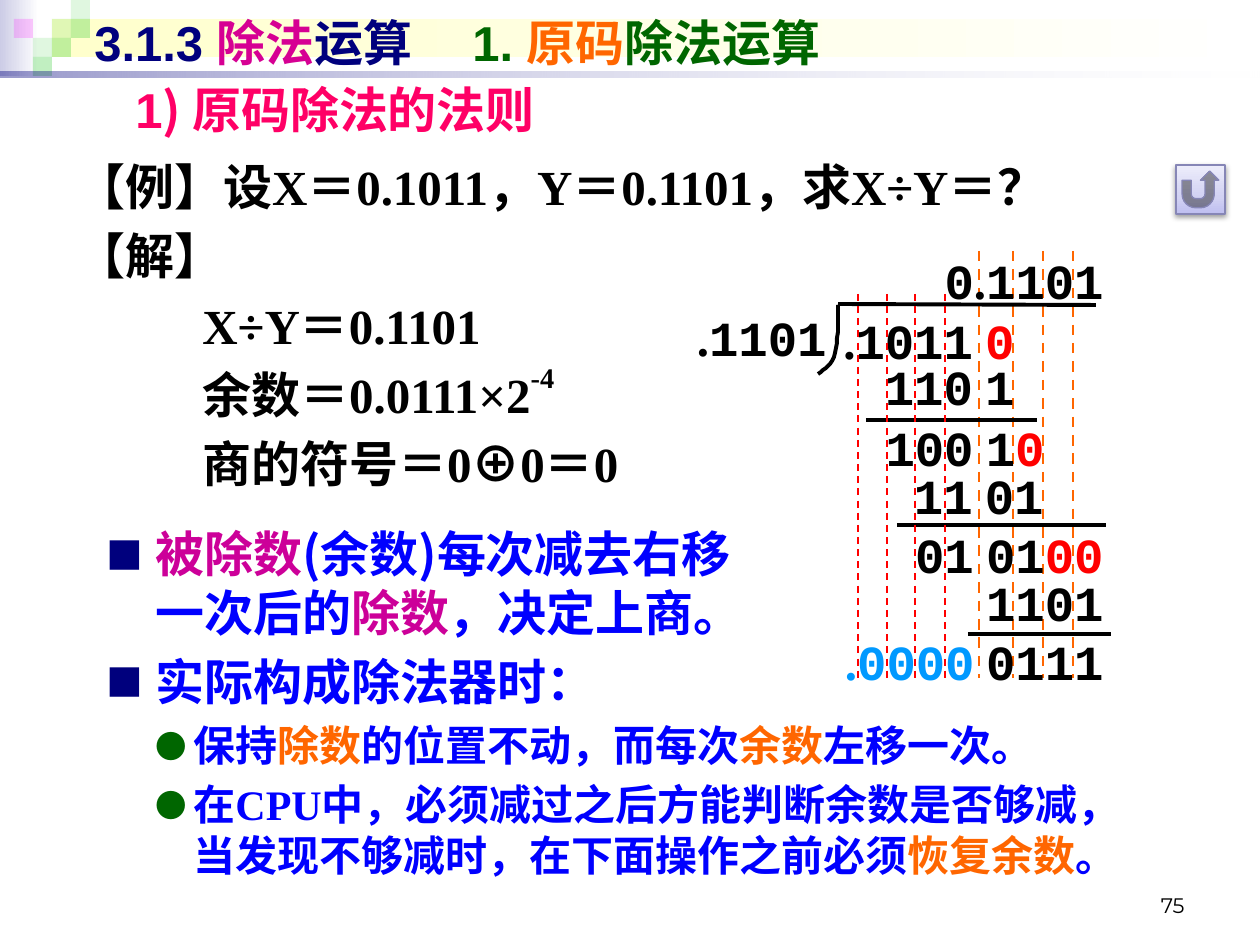
from lxml import etree
from pptx import Presentation, util as u
from pptx.dml.color import RGBColor
from pptx.enum import dml, shapes, text
from pptx.oxml import parse_xml
from pptx.oxml.ns import qn

PX = 914400 / 126
NS = 'xmlns:a="http://schemas.openxmlformats.org/drawingml/2006/main"'
RECT = shapes.MSO_SHAPE.RECTANGLE
LEFT, RIGHT = text.PP_ALIGN.LEFT, text.PP_ALIGN.RIGHT
TOP, MIDDLE, BOTTOM = text.MSO_ANCHOR.TOP, text.MSO_ANCHOR.MIDDLE, text.MSO_ANCHOR.BOTTOM
TIMES, COURIER, ARIAL, NOTO = "Times New Roman", "Courier New", "Arial", "Noto Sans CJK SC"
BLACK, NAVY, BLUE, RED = "000000", "00007D", "0000FF", "FF0000"
ORANGE, GREEN, MAGENTA, ROSE = "FF6600", "006600", "CC0099", "FF0066"


def px(n):
    return u.Emu(round(n * PX))


def rgb(h):
    return RGBColor.from_string(h)


def add_run(p, words, font=TIMES, size=28, color=BLACK, bold=True, base=0):
    for i, line in enumerate(words.split("\n")):
        if i:
            p.add_line_break()
        r = p.add_run()
        r.text = line
        r.font.name, r.font.size, r.font.bold = font, u.Pt(size), bold
        r.font.color.rgb = rgb(color)
        rpr = r.font._element
        etree.SubElement(rpr, qn("a:ea")).set("typeface", NOTO)
        if base:
            rpr.set("baseline", str(base * 1000))


def bezier(a, b, c, d, steps=8):
    for i in range(1, steps + 1):
        t = i / steps
        yield tuple((1 - t) ** 3 * k + 3 * t * (1 - t) ** 2 * m + 3 * t * t * (1 - t) * n + t ** 3 * o
                    for k, m, n, o in zip(a, b, c, d))


class Deck:
    def __init__(self):
        self.prs = Presentation()
        self.prs.slide_width, self.prs.slide_height = px(1260), px(945)
        self.s = self.prs.slides.add_slide(self.prs.slide_layouts[6])

    def shape(self, x, y, w, h, kind=RECT, fill=None, alpha=100):
        sp = self.s.shapes.add_shape(kind, px(x), px(y), px(w), px(h))
        sp.shadow.inherit = False
        sp.line.fill.background()
        if fill:
            sp.fill.solid()
            sp.fill.fore_color.rgb = rgb(fill)
            clr = sp._element.spPr.find(".//" + qn("a:srgbClr"))
            etree.SubElement(clr, qn("a:alpha")).set("val", str(alpha * 1000))
        return sp

    def gradient(self, sp, stops, angle=0):
        gs = "".join(f'<a:gs pos="{pos * 1000}"><a:srgbClr val="{c}"><a:alpha val="{a * 1000}"/>'
                     "</a:srgbClr></a:gs>" for pos, c, a in stops)
        geom = sp._element.spPr.find(qn("a:prstGeom"))
        geom.addnext(parse_xml(f'<a:gradFill {NS} rotWithShape="1"><a:gsLst>{gs}</a:gsLst>'
                               f'<a:lin ang="{angle * 60000}" scaled="0"/></a:gradFill>'))

    def shadow(self, sp, color, alpha, blur, dist, angle):
        fx = sp._element.spPr.find(qn("a:effectLst"))
        fx.append(parse_xml(
            f'<a:outerShdw {NS} blurRad="{u.Pt(blur)}" dist="{u.Pt(dist)}" dir="{angle * 60000}" '
            f'rotWithShape="0"><a:srgbClr val="{color}"><a:alpha val="{alpha * 1000}"/>'
            "</a:srgbClr></a:outerShdw>"))

    def line(self, x1, y1, x2, y2, color=BLACK, width=2.25, dash=False):
        c = self.s.shapes.add_connector(shapes.MSO_CONNECTOR.STRAIGHT, px(x1), px(y1), px(x2), px(y2))
        c.line.color.rgb, c.line.width = rgb(color), u.Pt(width)
        if dash:
            c.line.dash_style = dml.MSO_LINE.DASH
        etree.SubElement(c._element.spPr, qn("a:effectLst"))

    def curve(self, start, *segments):
        pts, at = [], start
        for b, c, d in segments:
            pts += bezier(at, b, c, d)
            at = d
        fb = self.s.shapes.build_freeform(*start, scale=PX)
        fb.add_line_segments(pts, close=False)
        sp = fb.convert_to_shape()
        sp.shadow.inherit = False
        sp.fill.background()
        sp.line.color.rgb, sp.line.width = rgb(BLACK), u.Pt(2.25)

    def box(self, x, y, w, h, anchor=TOP, pad=6):
        tf = self.s.shapes.add_textbox(px(x), px(y), px(w), px(h)).text_frame
        tf.word_wrap, tf.vertical_anchor = True, anchor
        tf.margin_top, tf.margin_bottom = px(pad), px(min(pad, 6))
        return tf

    def para(self, tf, runs, align=LEFT, line=None, before=0, indent=0, hang=0, bullet=None, tab=0, **fmt):
        p = tf.paragraphs[0]
        if p.runs:
            p = tf.add_paragraph()
            p.space_before = u.Pt(before)
        p.alignment = align
        if line:
            p.line_spacing = u.Pt(line)
        ppr = p._p.get_or_add_pPr()
        ppr.set("marL", str(px(indent)))
        ppr.set("indent", str(px(-hang)))
        if bullet:
            char, color = bullet
            for x in (f'<a:buClr {NS}><a:srgbClr val="{color}"/></a:buClr>',
                      f'<a:buSzPct {NS} val="75000"/>', f'<a:buFont {NS} typeface="{NOTO}"/>',
                      f'<a:buChar {NS} char="{char}"/>'):
                ppr.append(parse_xml(x))
        if tab:
            ppr.append(parse_xml(f'<a:tabLst {NS}><a:tab pos="{px(tab)}" algn="l"/></a:tabLst>'))
        for words, own in runs:
            add_run(p, words, **{**fmt, **own})

    def digits(self, x, y, w, *runs):
        self.para(self.box(x, y, w, 72), runs, align=RIGHT, font=COURIER)


def main():
    d = Deck()
    d.gradient(d.shape(0, 0, 39, 76), [(0, "CCCCE6", 100), (100, "FFFFFF", 100)])
    d.gradient(d.shape(52, 19, 1203, 38), [(0, "FFFFCC", 100), (100, "FFFFFF", 100)])
    lime, pink = "33CC33", "FF00FF"
    for col, row, color, alpha in [(2, 1, lime, 15), (3, 0, lime, 15), (3, 1, lime, 30), (1, 2, lime, 15),
                                   (0, 1, pink, 20), (2, 2, lime, 30), (1, 3, lime, 30)]:
        d.shape(14 + 19 * col, 19 * row, 19, 19, fill=color, alpha=alpha)
    d.gradient(d.shape(0, 72, 1260, 6), [(0, NAVY, 40), (100, "FFFFFF", 10)])

    blue, orange, magenta = {"color": BLUE}, {"color": ORANGE}, {"color": MAGENTA}
    red, point, gap = {"color": RED}, (".", {"font": TIMES}), (" ", {"font": TIMES})
    tf = d.box(94, 512, 1101, 407, pad=12)
    for runs in (
        [("被除数", magenta), ("(", {"font": NOTO}), ("余数", {}), (")", {"font": NOTO}),
         ("每次减去右移\n一次后的", {}), ("除数", magenta), ("，决定上商。", {})],
        [("实际构成除法器时：", {})],
    ):
        d.para(tf, runs, line=33.5, before=6, indent=49, hang=49, bullet=("■", NAVY), **blue)
    for runs in (
        [("保持", {}), ("除数", orange), ("的位置不动，而每次", {}), ("余数", orange), ("左移一次。", {})],
        [("在CPU中，必须减过之后方能判断余数是否够减，\n当发现不够减时，在下面操作之前必须", {}),
         ("恢复余数", orange), ("。", {})],
    ):
        d.para(tf, runs, line=29, before=5, indent=87, hang=38, bullet=("●", GREEN), size=24, **blue)

    d.para(d.box(903, 861, 294, 63, BOTTOM), [("75", {})], align=RIGHT,
           font="Montserrat", size=12, bold=False)

    for x in (979, 1013, 1043, 1073):
        d.line(x, 251, x, 678, ORANGE, 1.5, dash=True)

    d.para(d.box(82, 6, 1134, 72, MIDDLE, 0),
           [("3.1.3 ", {}), ("除法", {"color": "D60093"}), ("运算\t", {}), ("1. ", {"color": GREEN}),
            ("原码", orange), ("除法运算", {"color": GREEN})], tab=407, font=ARIAL, color=NAVY)

    tf = d.box(64, 145, 1142, 358, pad=12)
    for words in ("【例】设X＝0.1011，Y＝0.1101，求X÷Y＝？", "【解】"):
        d.para(tf, [(words, {})], line=33.5, before=6)
    for runs in ([("X÷Y＝0.1101", {})],
                 [("余数＝0.0111×2", {}), ("-4", {"base": 50})],
                 [("商的符号＝0", {}), ("⊕", {"font": NOTO}), ("0＝0", {})]):
        d.para(tf, runs, line=33.5, before=6, indent=126)

    d.para(d.box(123, 73, 1094, 72, MIDDLE, 0),
           [("1", {}), (") ", {"font": NOTO}), ("原码除法的法则", {})], font=ARIAL, color=ROSE)

    d.digits(789, 304, 238, point, ("1011", {}), gap, ("0", red))
    d.digits(838, 350, 189, ("110", {}), gap, ("1", {}))
    d.digits(898, 244, 218, ("0", {}), point, ("1101", {}))
    d.digits(819, 412, 238, ("100", {}), gap, ("1", {}), ("0", red))
    d.digits(868, 519, 248, ("01", {}), gap, ("01", {}), ("00", red))
    d.digits(848, 459, 208, ("11", {}), gap, ("01", {}))
    d.digits(948, 626, 168, ("0111", {}))
    d.digits(948, 566, 168, ("1101", {}))

    d.line(838, 304, 1096, 305)
    d.curve((838, 305), ((838, 324), (838, 341), (835, 353)), ((832, 365), (825, 369), (818, 374)))
    for x1, x2, y in ((866, 1037, 420), (897, 1106, 525), (968, 1111, 634)):
        d.line(x1, y, x2, y)
    d.digits(660, 301, 179, point, ("1101", {}))
    for x in (858, 887, 915, 945):
        d.line(x, 294, x, 678, RED, 1, dash=True)
    sky = {"color": "0099FF"}
    d.digits(818, 626, 169, (".", {"font": TIMES, **sky}), ("0000", sky))

    sp = d.shape(1176, 165, 49, 49, shapes.MSO_SHAPE.ACTION_BUTTON_RETURN)
    d.gradient(sp, [(0, "BFBFF0", 100), (35, "D2D2F3", 100), (100, "EDEDFB", 100)], 270)
    sp.line.color.rgb, sp.line.width = rgb("8686B6"), u.Pt(0.75)
    d.shadow(sp, BLACK, 38, 3.1, 1.6, 90)

    d.prs.save("out.pptx")


if __name__ == "__main__":
    main()
